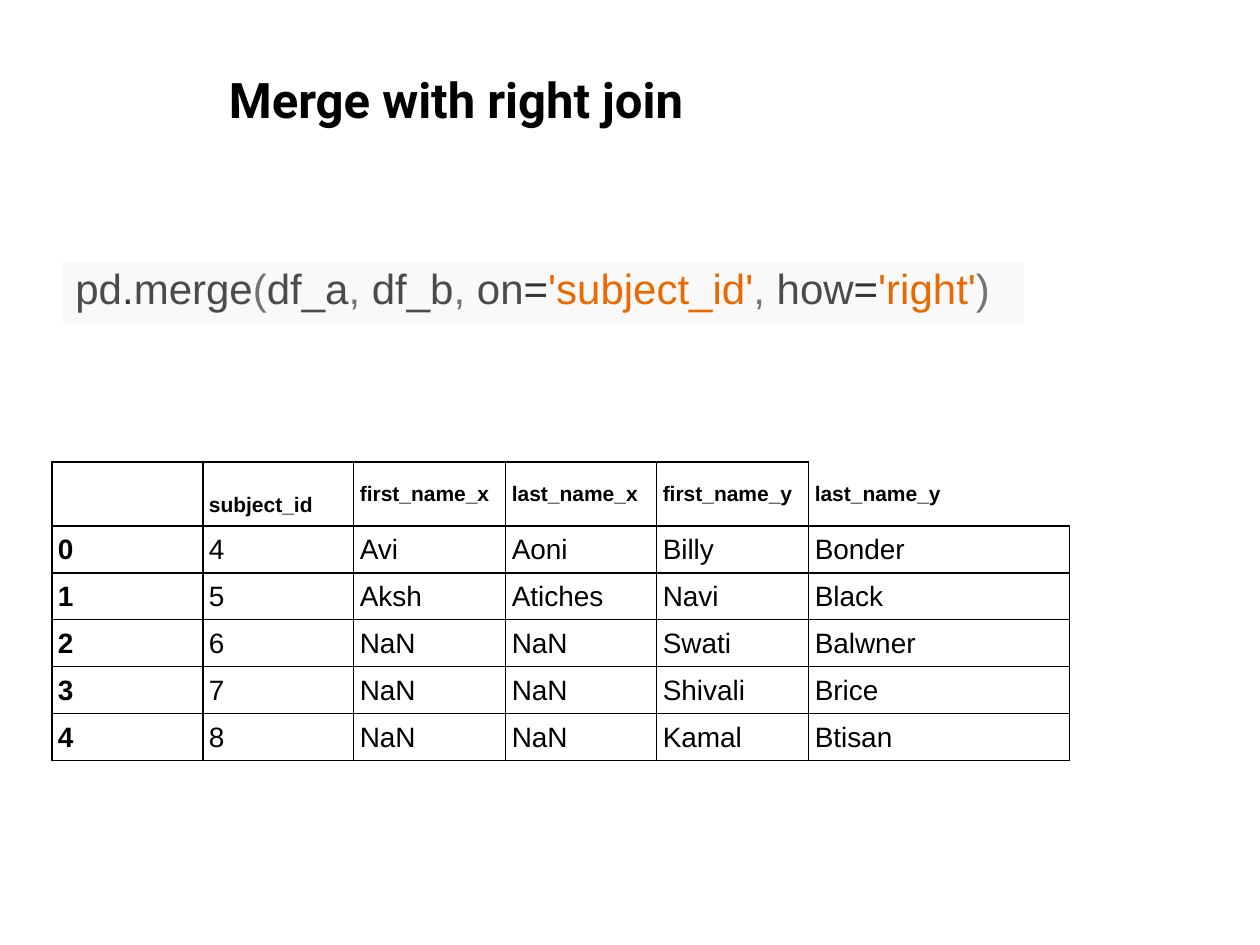
from pptx import Presentation
from pptx.dml.color import RGBColor
from pptx.enum.shapes import MSO_SHAPE
from pptx.enum.text import MSO_ANCHOR, PP_ALIGN
from pptx.oxml.ns import qn
from pptx.util import Emu, Pt
from lxml.etree import SubElement

BLACK = RGBColor(0x00, 0x00, 0x00)
WHITE = RGBColor(0xFF, 0xFF, 0xFF)
CODE_BACK = RGBColor(0xF9, 0xF9, 0xF9)
NAME = RGBColor(0x4B, 0x4B, 0x4B)
OPERATOR = RGBColor(0x33, 0x33, 0x33)
PUNCTUATION = RGBColor(0x74, 0x74, 0x74)
STRING = RGBColor(0xEA, 0x69, 0x00)

# Content
TITLE = "Merge with right join"
CODE = [
    ("pd", NAME), (".", OPERATOR), ("merge", NAME), ("(", PUNCTUATION),
    ("df_a", NAME), (", ", PUNCTUATION), ("df_b", NAME), (", ", PUNCTUATION),
    ("on", NAME), ("=", OPERATOR), ("'subject_id'", STRING), (", ", PUNCTUATION),
    ("how", NAME), ("=", OPERATOR), ("'right'", STRING), (")", PUNCTUATION),
]
MERGED = [
    ("", "subject_id", "first_name_x", "last_name_x", "first_name_y", "last_name_y"),
    ("0", "4", "Avi", "Aoni", "Billy", "Bonder"),
    ("1", "5", "Aksh", "Atiches", "Navi", "Black"),
    ("2", "6", "NaN", "NaN", "Swati", "Balwner"),
    ("3", "7", "NaN", "NaN", "Shivali", "Brice"),
    ("4", "8", "NaN", "NaN", "Kamal", "Btisan"),
]

# Layout in px
TITLE_BOX = (73, 63, 766, 72)
CODE_BOX = (63, 262, 961, 62)
TABLE_LEFT, TABLE_TOP = 52, 462
COLUMNS = [151, 151, 152, 151, 152, 261]
ROWS = [64] + [47] * 5
CELL_MARGIN = 6
SUBJECT_DROP = 22


def px(value):
    return Emu(round(value * 914400 / 126))


def style(run, size, color, bold=False, font="Arial"):
    run.font.name = font
    run.font.size = Pt(size)
    run.font.bold = bold
    run.font.color.rgb = color


def set_borders(cell, sides):
    """Draw the named sides in black and leave the others empty."""
    properties = cell._tc.get_or_add_tcPr()
    for side in "LRTB":
        line = SubElement(properties, qn(f"a:ln{side}"), w=str(Pt(0.75)))
        if side in sides:
            fill = SubElement(line, qn("a:solidFill"))
            SubElement(fill, qn("a:srgbClr"), val=str(BLACK))
        else:
            SubElement(line, qn("a:noFill"))


def add_title(slide):
    frame = slide.shapes.add_textbox(*map(px, TITLE_BOX)).text_frame
    frame.word_wrap = True
    frame.text = TITLE
    frame.paragraphs[0].alignment = PP_ALIGN.CENTER
    style(frame.paragraphs[0].runs[0], 28, BLACK, True, "Roboto")


def add_code(slide):
    panel = slide.shapes.add_shape(MSO_SHAPE.RECTANGLE, *map(px, CODE_BOX))
    panel.shadow.inherit = False
    panel.fill.solid()
    panel.fill.fore_color.rgb = CODE_BACK
    panel.line.fill.background()
    frame = panel.text_frame
    frame.word_wrap = True
    frame.vertical_anchor = MSO_ANCHOR.MIDDLE
    frame.margin_top, frame.margin_bottom = 0, px(11)
    frame.paragraphs[0].alignment = PP_ALIGN.LEFT
    for token, color in CODE:
        run = frame.paragraphs[0].add_run()
        run.text = token
        style(run, 24, color)


def add_merged_table(slide):
    table = slide.shapes.add_table(
        len(ROWS), len(COLUMNS), px(TABLE_LEFT), px(TABLE_TOP),
        px(sum(COLUMNS)), px(sum(ROWS))).table
    table.first_row = table.horz_banding = False
    for column, width in zip(table.columns, COLUMNS):
        column.width = px(width)
    for row, height in zip(table.rows, ROWS):
        row.height = px(height)

    for r, values in enumerate(MERGED):
        for c, value in enumerate(values):
            cell = table.cell(r, c)
            cell.vertical_anchor = MSO_ANCHOR.MIDDLE
            cell.margin_left = cell.margin_right = px(CELL_MARGIN)
            cell.margin_top = cell.margin_bottom = px(CELL_MARGIN)
            cell.text = value
            for run in cell.text_frame.paragraphs[0].runs:
                style(run, 16 if r else 12, BLACK, r == 0 or c == 0)
            # The last heading stands open at its top and right
            is_open = r == 0 and c == len(COLUMNS) - 1
            set_borders(cell, "LB" if is_open else "LRTB")
            if is_open:
                cell.fill.background()
            else:
                cell.fill.solid()
                cell.fill.fore_color.rgb = WHITE
    # The subject_id heading sits lower than its neighbours
    table.cell(0, 1).margin_top = px(CELL_MARGIN + SUBJECT_DROP)


def main():
    deck = Presentation()
    deck.slide_width, deck.slide_height = px(1260), px(945)
    slide = deck.slides.add_slide(deck.slide_layouts[6])
    add_code(slide)
    add_merged_table(slide)
    add_title(slide)
    deck.save("out.pptx")


if __name__ == "__main__":
    main()
